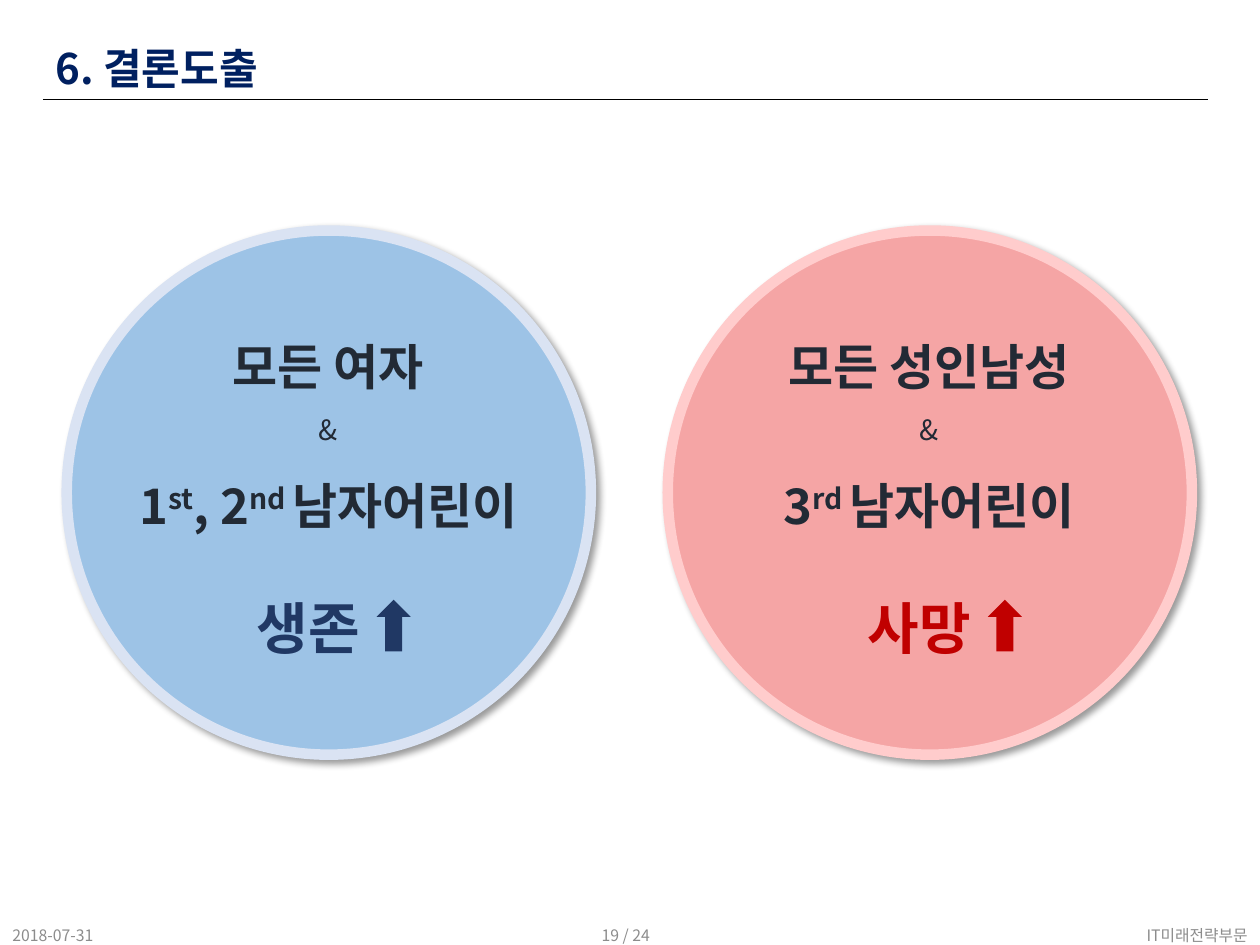
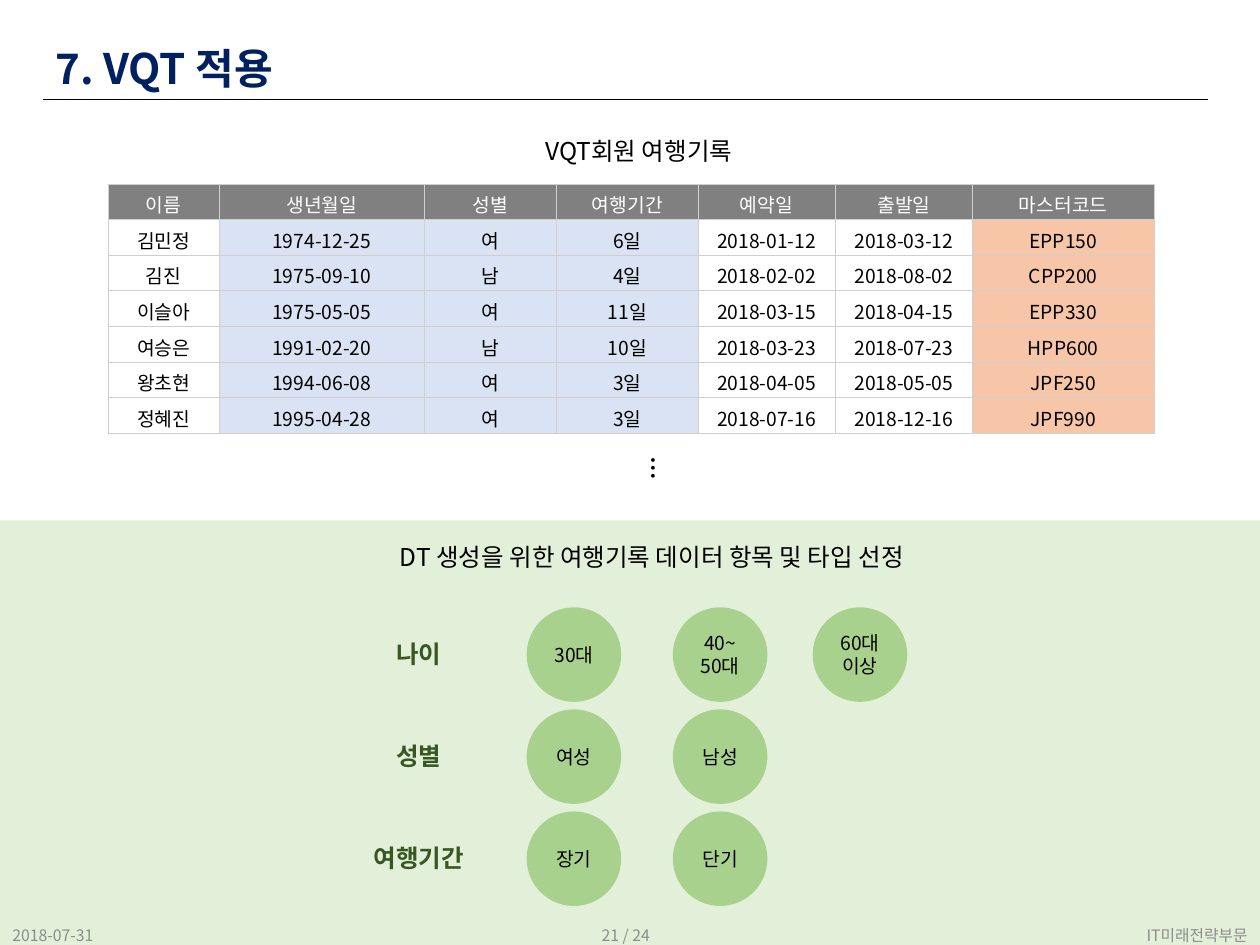
import pptx
import pptx.util
import pptx.dml.color
import pptx.enum.shapes
import pptx.enum.text
import pptx.oxml
import pptx.oxml.ns
import lxml.etree

Inches = pptx.util.Inches
Pt = pptx.util.Pt
RGB = pptx.dml.color.RGBColor.from_string
SHAPE = pptx.enum.shapes.MSO_SHAPE
ALIGN = pptx.enum.text.PP_ALIGN
ANCHOR = pptx.enum.text.MSO_ANCHOR
FIT = pptx.enum.text.MSO_AUTO_SIZE
qn = pptx.oxml.ns.qn
NS = 'xmlns:a="http://schemas.openxmlformats.org/drawingml/2006/main"'

FONT = "Noto Sans CJK KR"
COLORS = {
    "title": "002060", "foot": "8C8C8C", "black": "000000", "white": "FFFFFF",
    "ink": "222A35", "navy": "203864", "red": "C00000",
    "blue": "9DC3E6", "pale": "DAE3F3", "rose": "F5A5A5", "blush": "FFCCCC",
    "band": "E2F0D9", "green": "A9D18E", "moss": "385723",
    "head": "808080", "peach": "F7C5A7", "rule": "D0CECE",
}


def write(frame, text, size, color, bold=False, align=ALIGN.CENTER, font=FONT):
    """Fill a frame line by line; parts between ^ marks are superscript."""
    frame.word_wrap = True
    frame.text = "\n".join([""] * len(text.split("\n")))
    for para, line in zip(frame.paragraphs, text.split("\n")):
        para.alignment = align
        for n, part in enumerate(line.split("^")):
            run = para.add_run()
            run.text = part
            run.font.size = Pt(size)
            run.font.bold = bold
            run.font.color.rgb = RGB(COLORS[color])
            run.font.name = font
            props = run.font._element
            lxml.etree.SubElement(props, qn("a:ea")).set("typeface", font)
            if n % 2:
                props.set("baseline", "30000")


def draw(shapes, kind, box, fill=None):
    """Add a text box (kind None) or a filled shape without outline."""
    spot = [Inches(v) for v in box]
    if kind is None:
        item = shapes.add_textbox(*spot)
        item.text_frame.auto_size = FIT.SHAPE_TO_FIT_TEXT
        return item
    item = shapes.add_shape(kind, *spot)
    item.shadow.inherit = False
    item.fill.solid()
    item.fill.fore_color.rgb = RGB(COLORS[fill])
    item.line.fill.background()
    return item


deck = pptx.Presentation()
deck.slide_width = Inches(10)
deck.slide_height = Inches(7.5)
pages = []

# Shared title, rule and footer
for title, page in (("6. 결론도출", 19), ("7. VQT 적용", 21)):
    shapes = deck.slides.add_slide(deck.slide_layouts[6]).shapes
    pages.append(shapes)
    if page == 21:
        draw(shapes, SHAPE.RECTANGLE, (0, 4.13, 10, 3.37), "band")
    line = shapes.add_connector(pptx.enum.shapes.MSO_CONNECTOR.STRAIGHT,
                                Inches(0.34), Inches(0.79), Inches(9.59), Inches(0.79))
    line.line.width = Pt(0.5)
    line.line.color.rgb = RGB(COLORS["black"])
    lxml.etree.SubElement(line._element.spPr, qn("a:effectLst"))
    head = draw(shapes, None, (0.34, 0.29, 5.22, 0.5))
    write(head.text_frame, title, 24, "title", True, ALIGN.LEFT)
    for left, width, text, align in (
        (0, 2.25, "2018-07-31", ALIGN.LEFT),
        (8.84, 1.16, "IT미래전략부문", ALIGN.RIGHT),
        (3.84, 2.25, f"{page} / 24", ALIGN.CENTER),
    ):
        foot = draw(shapes, None, (left, 7.35, width, 0.15)).text_frame
        foot.auto_size = FIT.NONE
        foot.vertical_anchor = ANCHOR.MIDDLE
        write(foot, text, 9, "foot", align=align)

# Slide 1: who survived and who died
SHADOW = (f'<a:effectLst {NS}><a:outerShdw blurRad="50800" dist="38100" dir="2700000" '
          'algn="tl" rotWithShape="0"><a:srgbClr val="000000"><a:alpha val="40000"/>'
          '</a:srgbClr></a:outerShdw></a:effectLst>')
shapes = pages[0]
for left, fill, edge, text, mark, word, tone in (
    (0.53, "blue", "pale", "모든 여자\n&\n1^st^, 2^nd ^남자어린이", 1.94, "생존", "navy"),
    (5.3, "rose", "blush", "모든 성인남성\n&\n3^rd ^남자어린이", 6.79, "사망", "red"),
):
    disc = draw(shapes, SHAPE.OVAL, (left, 1.83, 4.16, 4.16), fill)
    disc.line.color.rgb = RGB(COLORS[edge])
    disc.line.width = Pt(6)
    props = disc._element.spPr
    props.replace(props.find(qn("a:effectLst")), pptx.oxml.parse_xml(SHADOW))
    frame = draw(shapes, None, (left + 0.36, 2.39, 3.43, 1.84)).text_frame
    write(frame, text, 28, "ink", True)
    for para in frame.paragraphs:
        para.line_spacing = 1.5
    joint = frame.paragraphs[1].runs[0].font
    joint.size = Pt(16)
    joint.bold = False
    group = shapes.add_group_shape().shapes
    label = draw(group, None, (mark, 4.66, 1.05, 0.64))
    write(label.text_frame, word, 32, tone, True, ALIGN.LEFT)
    draw(group, SHAPE.UP_ARROW, (mark + 1.05, 4.76, 0.27, 0.41), tone)

# Slide 2: travel records
shapes = pages[1]
ROWS = [
    ("이름", "생년월일", "성별", "여행기간", "예약일", "출발일", "마스터코드"),
    ("김민정", "1974-12-25", "여", "6일", "2018-01-12", "2018-03-12", "EPP150"),
    ("김진", "1975-09-10", "남", "4일", "2018-02-02", "2018-08-02", "CPP200"),
    ("이슬아", "1975-05-05", "여", "11일", "2018-03-15", "2018-04-15", "EPP330"),
    ("여승은", "1991-02-20", "남", "10일", "2018-03-23", "2018-07-23", "HPP600"),
    ("왕초현", "1994-06-08", "여", "3일", "2018-04-05", "2018-05-05", "JPF250"),
    ("정혜진", "1995-04-28", "여", "3일", "2018-07-16", "2018-12-16", "JPF990"),
]
WIDTHS = (0.88, 1.63, 1.05, 1.12, 1.09, 1.09, 1.44)
FILLS = ("white", "pale", "pale", "pale", "white", "white", "peach")
table = shapes.add_table(len(ROWS), len(WIDTHS), Inches(0.86), Inches(1.46),
                         Inches(8.29), Inches(1.98)).table
for col, width in zip(table.columns, WIDTHS):
    col.width = Inches(width)
for r, row in enumerate(ROWS):
    table.rows[r].height = Inches(1.98 / len(ROWS))
    for c, text in enumerate(row):
        cell = table.cell(r, c)
        cell.margin_top = Inches(0.05)
        cell.margin_bottom = 0
        write(cell.text_frame, text, 11, "black" if r else "white")
        props = cell._tc.get_or_add_tcPr()
        for side in ("lnL", "lnR", "lnT", "lnB"):
            props.append(pptx.oxml.parse_xml(
                f'<a:{side} {NS} w="6350"><a:solidFill><a:srgbClr val="{COLORS["rule"]}"/>'
                f'</a:solidFill></a:{side}>'))
        cell.fill.solid()
        cell.fill.fore_color.rgb = RGB(COLORS[FILLS[c] if r else "head"])

for box, text in (
    ((4.07, 1.03, 2, 0.34), "VQT회원 여행기록"),
    ((2.97, 4.25, 4.41, 0.34), "DT 생성을 위한 여행기록 데이터 항목 및 타입 선정"),
):
    write(draw(shapes, None, box).text_frame, text, 14, "black")

dots = draw(shapes, None, (4.97, 3.53, 0.5, 0.3)).text_frame
write(dots, "…", 18, "black", align=ALIGN.LEFT, font="Calibri")
dots._txBody.bodyPr.set("vert", "eaVert")

# Slide 2: data items and their types
for n, (name, kinds) in enumerate((
    ("나이", ("30대", "40~50대", "60대 이상")),
    ("성별", ("여성", "남성")),
    ("여행기간", ("장기", "단기")),
)):
    top = 4.82 + 0.81 * n
    label = draw(shapes, None, (2.75, top + 0.2, 1.15, 0.34))
    write(label.text_frame, name, 14, "moss", True)
    for left, kind in zip((4.18, 5.34, 6.45), kinds):
        disc = draw(shapes, SHAPE.OVAL, (left, top, 0.75, 0.75), "green")
        disc.text_frame.vertical_anchor = ANCHOR.MIDDLE
        write(disc.text_frame, kind, 11, "black")

deck.save("out.pptx")
